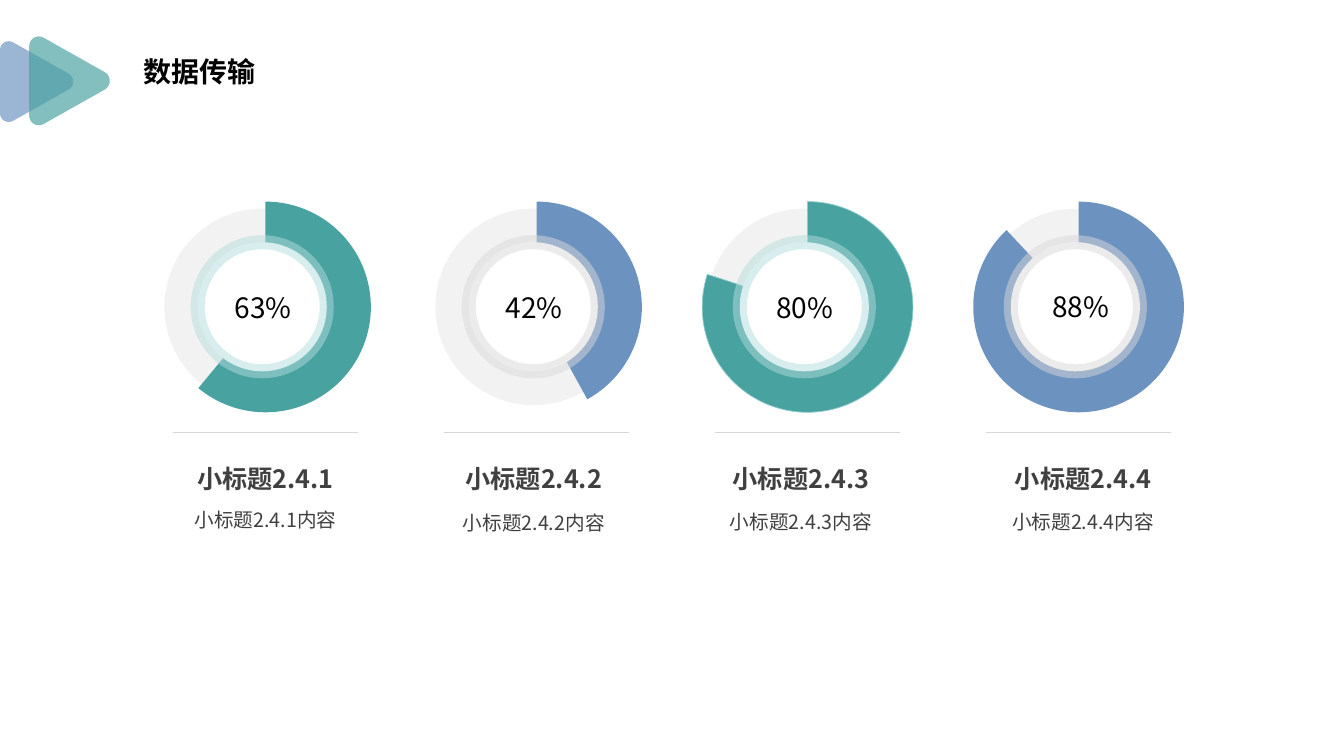
import dataclasses

import lxml.etree
import pptx
import pptx.dml.color
import pptx.enum.shapes
import pptx.enum.text
import pptx.oxml.ns
import pptx.util

Pt = pptx.util.Pt
qn = pptx.oxml.ns.qn
SHAPE = pptx.enum.shapes.MSO_SHAPE
ALIGN = pptx.enum.text.PP_ALIGN


@dataclasses.dataclass(frozen=True)
class Theme:
    font: str = "Noto Sans CJK SC"
    ink: str = "000000"
    text: str = "404040"
    teal: str = "48A2A0"
    teal_edge: str = "8CCCCB"
    teal_rim: str = "B3DDDC"
    blue: str = "6C92C0"
    gray_rim: str = "D9D9D9"
    track: str = "F2F2F2"
    rule: str = "D8D8D8"
    hub: str = "FFFFFF"
    title_size: int = 20
    value_size: int = 20
    heading_size: int = 18
    detail_size: int = 14


@dataclasses.dataclass(frozen=True)
class Metric:
    value: str
    share: float  # part of the ring that is filled
    color: str
    rim: str
    value_at: tuple
    caption_left: float
    detail_top: float
    edge: str = ""


def corner_curve(start, control_1, control_2, end, steps=12):
    """Return points of a cubic Bezier curve, both ends included."""
    points = []
    for step in range(steps + 1):
        t = step / steps
        weights = ((1 - t) ** 3, 3 * t * (1 - t) ** 2, 3 * t * t * (1 - t), t ** 3)
        corners = (start, control_1, control_2, end)
        points.append(tuple(sum(w * c[axis] for w, c in zip(weights, corners))
                            for axis in (0, 1)))
    return points


class SlideBuilder:
    def __init__(self, slide, theme):
        self.slide = slide
        self.theme = theme

    def set_color(self, fill, color, opacity=100):
        fill.solid()
        fill.fore_color.rgb = pptx.dml.color.RGBColor.from_string(color)
        if opacity < 100:
            color_node = fill._xPr.find(qn("a:solidFill"))[0]
            alpha = lxml.etree.SubElement(color_node, qn("a:alpha"))
            alpha.set("val", str(opacity * 1000))

    def style_shape(self, shape, color, opacity=100, line=None):
        """Colour a shape; line is (colour, width, opacity) or None."""
        shape.shadow.inherit = False
        self.set_color(shape.fill, color, opacity)
        if line:
            line_color, width, line_opacity = line
            shape.line.width = Pt(width)
            self.set_color(shape.line.fill, line_color, line_opacity)
        else:
            shape.line.fill.background()

    def disc(self, left, top, size, color, line=None, kind=SHAPE.OVAL):
        disc = self.slide.shapes.add_shape(
            kind, Pt(left), Pt(top), Pt(size), Pt(size))
        self.style_shape(disc, color, line=line)
        return disc

    def pie(self, left, top, size, share, color, line=None):
        """Draw a sector that runs clockwise from twelve o'clock."""
        pie = self.disc(left, top, size, color, line, SHAPE.PIE)
        units_per_degree = 0.6
        pie.adjustments[0] = 270 * units_per_degree
        pie.adjustments[1] = (270 + 360 * share) % 360 * units_per_degree

    def rule(self, left, right, y):
        rule = self.slide.shapes.add_connector(
            pptx.enum.shapes.MSO_CONNECTOR.STRAIGHT, Pt(right), Pt(y), Pt(left), Pt(y))
        rule.line.width = Pt(1)
        self.set_color(rule.line.fill, self.theme.rule)
        lxml.etree.SubElement(rule._element.spPr, qn("a:effectLst"))

    def rounded_triangle(self, left, middle, scale, color):
        """Draw a right-pointing triangle, symmetric about the height middle."""
        def place(x, y):
            return left + x * scale, middle + y * scale

        back_top = [place(*p) for p in ((9.4, -28), (5, -30.4), (0, -27.4), (0, -22.4))]
        back_bottom = [(x, 2 * middle - y) for x, y in reversed(back_top)]
        tip = [place(*p) for p in ((49, 5.7), (53.4, 3), (53.4, -3), (49, -5.7))]
        outline = [(Pt(x), Pt(y)) for corner in (back_top, back_bottom, tip)
                   for x, y in corner_curve(*corner)]
        builder = self.slide.shapes.build_freeform(*outline[0])
        builder.add_line_segments(outline[1:], close=True)
        self.style_shape(builder.convert_to_shape(), color, opacity=68)

    def fill_text(self, box, wording, size, color, bold=False, align=ALIGN.LEFT,
                  spacing=1.0, wrap=True):
        frame = box.text_frame
        frame.text = wording
        frame.word_wrap = wrap
        frame.auto_size = pptx.enum.text.MSO_AUTO_SIZE.SHAPE_TO_FIT_TEXT
        frame.vertical_anchor = pptx.enum.text.MSO_ANCHOR.TOP
        paragraph = frame.paragraphs[0]
        paragraph.alignment = align
        paragraph.line_spacing = spacing
        font = paragraph.font
        font.size = Pt(size)
        font.bold = bold
        self.set_color(font.fill, color)
        font.name = self.theme.font
        east_asian = lxml.etree.Element(qn("a:ea"))
        east_asian.set("typeface", self.theme.font)
        paragraph._p.pPr.find(qn("a:defRPr")).find(qn("a:latin")).addnext(east_asian)

    def text(self, left, top, width, height, wording, size, color, **style):
        box = self.slide.shapes.add_textbox(Pt(left), Pt(top), Pt(width), Pt(height))
        self.fill_text(box, wording, size, color, **style)

    def title(self, left, top, width, height, wording):
        title = self.slide.shapes.title
        title.left, title.top = Pt(left), Pt(top)
        title.width, title.height = Pt(width), Pt(height)
        self.fill_text(title, wording, self.theme.title_size, self.theme.ink,
                       bold=True, wrap=False)

    def ring(self, offset, metric):
        theme = self.theme
        edge = (metric.edge, 0.5, 100) if metric.edge else None
        self.disc(117.4 + offset, 149, 140.4, theme.track)
        self.pie(114.4 + offset, 144, 150.5, metric.share, metric.color, edge)
        self.disc(141.2 + offset, 173, 92.2, theme.hub, line=(metric.rim, 10, 50))
        self.rule(123.8 + offset, 255.6 + offset, 308.9)

    def caption(self, number, metric):
        theme = self.theme
        heading = f"小标题2.4.{number}"
        self.text(metric.caption_left, 323.3, 131.8, 33, heading,
                  theme.heading_size, theme.text, bold=True,
                  align=ALIGN.CENTER, spacing=1.2)
        self.text(metric.caption_left - 9.4, metric.detail_top, 150.5, 33,
                  f"{heading}内容", theme.detail_size, theme.text,
                  align=ALIGN.CENTER, spacing=1.54)
        self.text(*metric.value_at, 59, 31.7, metric.value, theme.value_size, theme.ink)


def main():
    theme = Theme()
    deck = pptx.Presentation()
    deck.slide_width, deck.slide_height = Pt(960), Pt(540)
    builder = SlideBuilder(deck.slides.add_slide(deck.slide_layouts[5]), theme)

    builder.title(95, 35.3, 122.4, 31.7, "数据传输")
    builder.rounded_triangle(0, 58.3, 1, theme.blue)
    builder.rounded_triangle(20.9, 57.8, 1.1, theme.teal)

    metrics = (
        Metric("63%", 0.61, theme.teal, theme.teal_rim, (160.6, 203.8), 123.8, 349.9),
        Metric("42%", 0.42, theme.blue, theme.gray_rim, (354.2, 203.8), 315.4, 352.1),
        Metric("80%", 0.8, theme.teal, theme.teal_rim, (547.4, 203.8), 506.2, 351.4,
               theme.teal_edge),
        Metric("88%", 0.88, theme.blue, theme.gray_rim, (744.5, 203), 707.8, 351.4),
    )
    column_pitch = 193.6
    for column, metric in enumerate(metrics):
        builder.ring(column * column_pitch, metric)
        builder.caption(column + 1, metric)

    deck.save("out.pptx")


if __name__ == "__main__":
    main()
